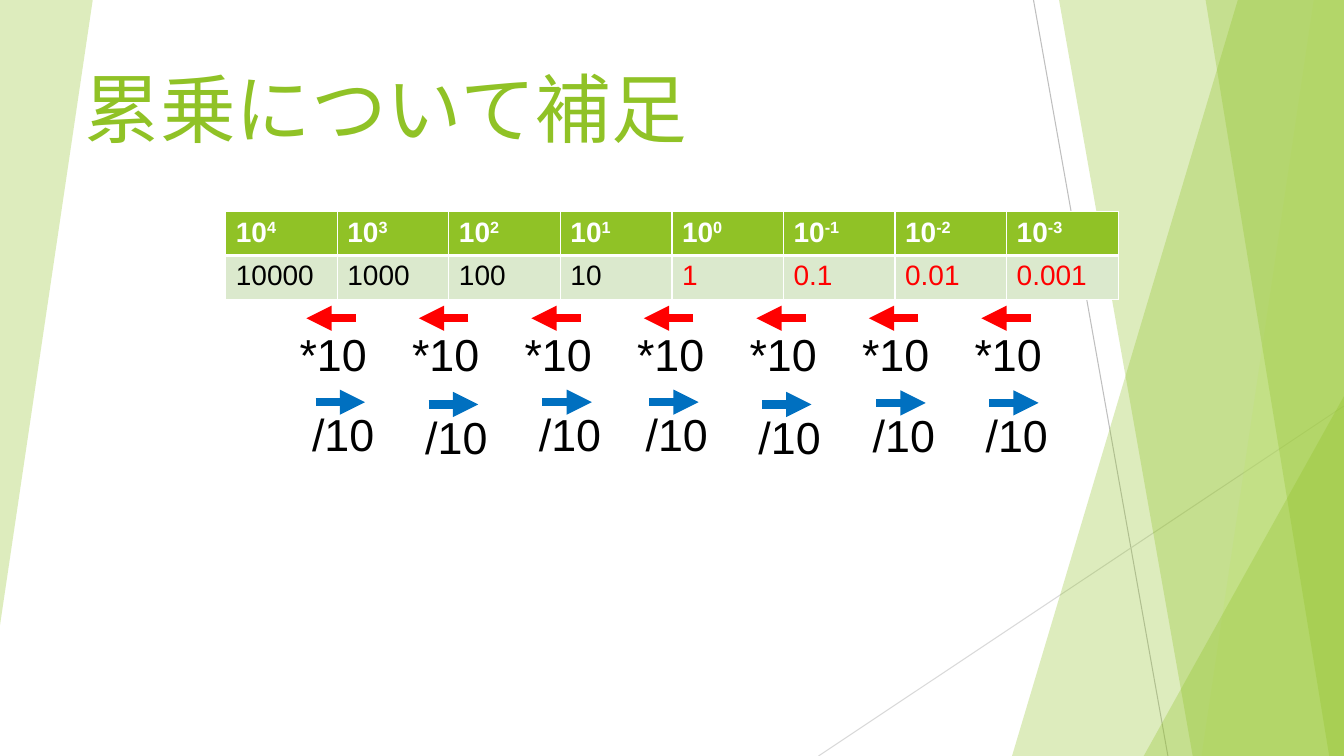
"""Build the slide on powers of ten, with a table and steps between its columns."""
from lxml.etree import SubElement
from pptx import Presentation
from pptx.dml.color import RGBColor
from pptx.enum.shapes import MSO_CONNECTOR, MSO_SHAPE
from pptx.enum.text import MSO_ANCHOR
from pptx.oxml.ns import qn
from pptx.util import Inches, Pt

GREEN = RGBColor(0x90, 0xC2, 0x26)
LIME = RGBColor(0xC0, 0xE4, 0x74)
PALE = RGBColor(0xDB, 0xE9, 0xCD)
GREY = RGBColor(0xBF, 0xBF, 0xBF)
LIGHT_GREY = RGBColor(0xD9, 0xD9, 0xD9)
WHITE = RGBColor(0xFF, 0xFF, 0xFF)
BLACK = RGBColor(0, 0, 0)
RED = RGBColor(0xFF, 0, 0)
BLUE = RGBColor(0, 0x70, 0xC0)

deck = Presentation()
deck.slide_width, deck.slide_height = Inches(13.33), Inches(7.5)
X, Y = deck.slide_width / 100, deck.slide_height / 100
slide = deck.slides.add_slide(deck.slide_layouts[6])
shapes = slide.shapes


def place(x, y, *size):
    """Turn percentages of the slide into lengths."""
    return [round(share * unit) for share, unit in zip((x, y, *size), (X, Y, X, Y))]


def write(paragraph, text, color, **formats):
    """Add a run with the given font values."""
    run = paragraph.add_run()
    run.text = text
    run.font.color.rgb = color
    for name, value in {"name": "Arial", **formats}.items():
        setattr(run.font, name, value)
    return run


strokes = [
    ((76.9, 0), (86.9, 100), GREY, 0.75),
    ((100, 53.7), (60.9, 100), LIGHT_GREY, 0.75),
]
facets = [
    ([(92.1, 0), (100, 0), (100, 100), (75.3, 100)], GREEN),
    ([(78.8, 0), (100, 0), (100, 100), (88.75, 100)], GREEN),
    ([(97.75, 0), (100, 0), (100, 100), (89.4, 100)], LIME),
    ([(89.7, 0), (100, 0), (100, 100), (98.9, 100)], GREEN),
]
labels = [((5.55, 8.9, 88.6, 9.6), "累乗について補足", GREEN, 54)]

for step in range(7):
    tip = 22.8 + 8.37 * step
    strokes.append(((tip + 3.68, 42.1), (tip, 42.1), RED, 6))
    labels.append(((tip - 1.25, 42.55, 8, 8.5), "*10", BLACK, 32))

division_starts = [(23.48, 53.2), (31.9, 53.5), (40.36, 53.2), (48.3, 53.2),
                   (56.7, 53.5), (65.2, 53.3), (73.6, 53.3)]
for x, y in division_starts:
    strokes.append(((x, y), (x + 3.68, y), BLUE, 6))
    labels.append(((x - 1, y, 6.8, 8.5), "/10", BLACK, 32))

for start, end, color, width in strokes:
    stroke = shapes.add_connector(MSO_CONNECTOR.STRAIGHT, *place(*start), *place(*end))
    stroke.line.color.rgb = color
    stroke.line.width = Pt(width)
    if width == 6:
        SubElement(stroke.line._get_or_add_ln(), qn("a:tailEnd"), type="triangle")
    SubElement(stroke._element.spPr, qn("a:effectLst"))

panes = []
for corners, color in facets:
    outline = shapes.build_freeform(*place(*corners[0]))
    outline.add_line_segments([place(*corner) for corner in corners[1:]])
    panes.append((outline.convert_to_shape(), color))
for area, turn in [((85.1, 52.4, 14.9, 47.6), 0), ((0, 0, 6.9, 82.7), 180)]:
    wedge = shapes.add_shape(MSO_SHAPE.ISOSCELES_TRIANGLE, *place(*area))
    wedge.adjustments[0] = 1
    wedge.rotation = turn
    panes.append((wedge, GREEN))
for pane, color in panes:
    pane.shadow.inherit = False
    pane.line.fill.background()
    pane.fill.solid()
    pane.fill.fore_color.rgb = color
    tint = pane._element.spPr.find(qn("a:solidFill"))[0]
    SubElement(tint, qn("a:alpha"), val="30000")

for area, text, color, size in labels:
    frame = shapes.add_textbox(*place(*area)).text_frame
    for name, value in {"word_wrap": True, "vertical_anchor": MSO_ANCHOR.TOP}.items():
        setattr(frame, name, value)
    paragraph = frame.paragraphs[0]
    write(paragraph, text, color, size=Pt(size))
    if size == 54:
        paragraph.line_spacing = 0.9

exponents = range(4, -4, -1)
values = ["10000", "1000", "100", "10", "1", "0.1", "0.01", "0.001"]
powers = shapes.add_table(2, len(values), *place(16.8, 28, 66.4, 11)).table
for column, (exponent, value) in enumerate(zip(exponents, values)):
    header, body = powers.cell(0, column), powers.cell(1, column)
    heading = header.text_frame.paragraphs[0]
    write(heading, "10", WHITE, size=Pt(20), bold=True)
    power = write(heading, str(exponent), WHITE, size=Pt(20), bold=True)
    power._r.get_or_add_rPr().set("baseline", "30000")
    write(body.text_frame.paragraphs[0], value, RED if exponent < 1 else BLACK,
          size=Pt(20), bold=False)
    for cell, fill, thick_edge in [(header, GREEN, "lnB"), (body, PALE, "lnT")]:
        properties = cell._tc.get_or_add_tcPr()
        for edge in ("lnL", "lnR", "lnT", "lnB"):
            border = SubElement(properties, qn(f"a:{edge}"),
                                w=str(Pt(3 if edge == thick_edge else 1)))
            paint = SubElement(border, qn("a:solidFill"))
            SubElement(paint, qn("a:srgbClr"), val=str(WHITE))
        cell.fill.solid()
        cell.fill.fore_color.rgb = fill

deck.save("out.pptx")
